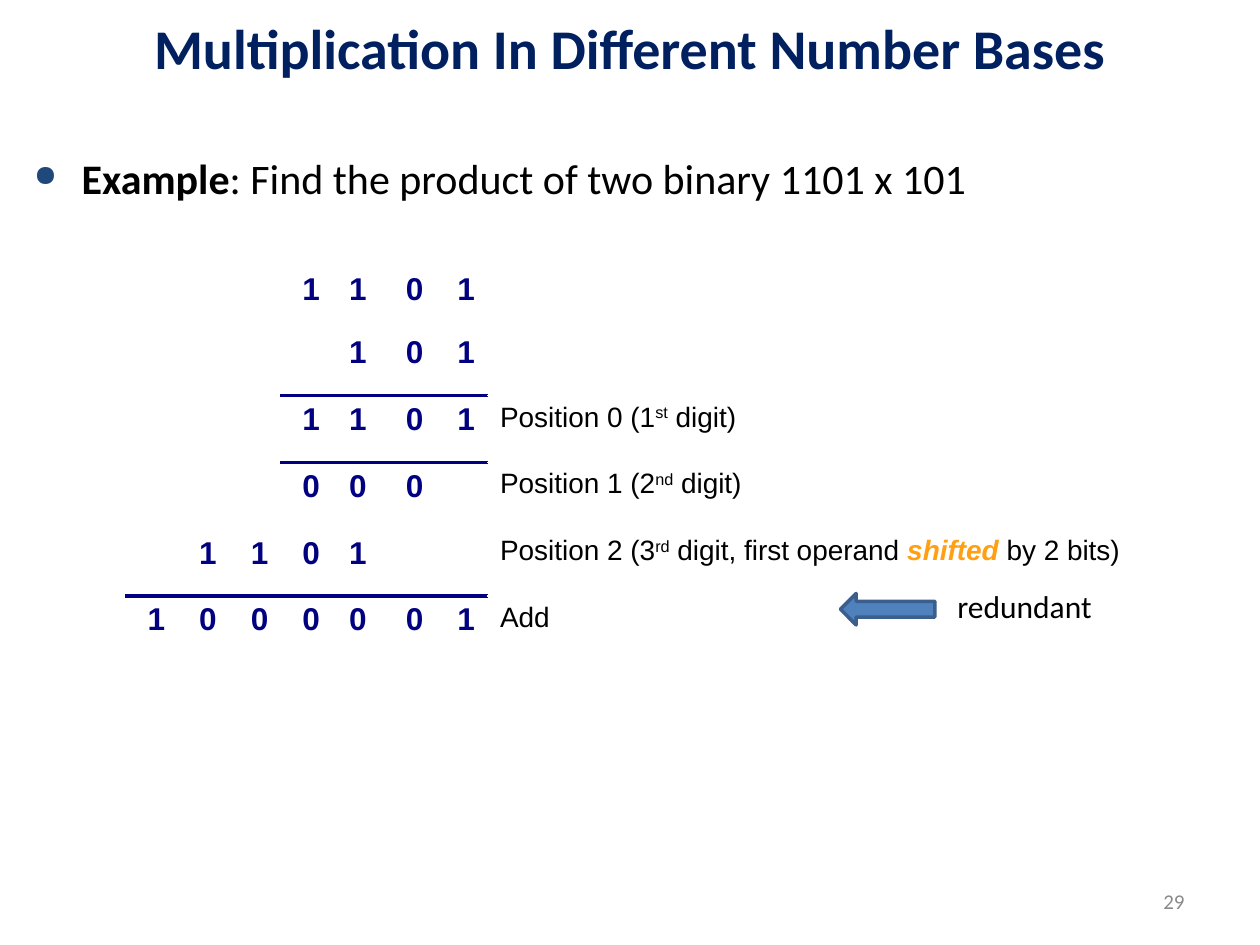
from dataclasses import dataclass

from lxml import etree
from pptx import Presentation
from pptx.dml.color import RGBColor
from pptx.enum.shapes import MSO_SHAPE
from pptx.enum.text import MSO_ANCHOR, PP_ALIGN
from pptx.oxml.ns import qn
from pptx.util import Inches, Pt

LEFT, CENTER, RIGHT = PP_ALIGN.LEFT, PP_ALIGN.CENTER, PP_ALIGN.RIGHT
TOP, MIDDLE = MSO_ANCHOR.TOP, MSO_ANCHOR.MIDDLE
LEFT_ARROW = MSO_SHAPE.LEFT_ARROW

TITLE_NAVY = RGBColor(0x00, 0x20, 0x60)
DIGIT_NAVY = RGBColor(0x00, 0x00, 0x80)
BLACK = RGBColor(0x00, 0x00, 0x00)
ORANGE = RGBColor(0xFF, 0x9F, 0x11)
GRAY = RGBColor(0x89, 0x89, 0x89)
BULLET_BLUE = RGBColor(0x1F, 0x49, 0x7D)
ARROW_FILL = RGBColor(0x4F, 0x81, 0xBD)
ARROW_LINE = RGBColor(0x3A, 0x5F, 0x8C)

COLUMN_WIDTHS = (0.41, 0.41, 0.41, 0.41, 0.37, 0.45, 0.41, 6.14)
ROW_HEIGHTS = (0.5, 0.53, 0.53, 0.53, 0.53, 0.53)
DIGIT_COLUMNS = 7


@dataclass(frozen=True)
class Span:
    text: str
    superscript: bool = False
    emphasized: bool = False
    bold: bool = False


@dataclass(frozen=True)
class Step:
    digits: str
    shift: int = 0
    label: tuple[Span, ...] = ()


@dataclass(frozen=True)
class Rule:
    above_row: int
    first_column: int


@dataclass(frozen=True)
class Caption:
    spans: tuple[Span, ...]
    box: tuple[float, float, float, float]
    size: int
    color: RGBColor
    align: PP_ALIGN = LEFT
    anchor: MSO_ANCHOR = TOP


STEPS = (
    Step("1101"),
    Step("101"),
    Step("1101", 0, (Span("Position 0 (1"), Span("st", superscript=True), Span(" digit)"))),
    Step("000", 1, (Span("Position 1 (2"), Span("nd", superscript=True), Span(" digit)"))),
    Step("1101", 2, (
        Span("Position 2 (3"),
        Span("rd", superscript=True),
        Span(" digit, first operand "),
        Span("shifted ", emphasized=True),
        Span("by 2 bits)"),
    )),
    Step("1000001", 0, (Span("Add"),)),
)
RULES = (Rule(above_row=2, first_column=3), Rule(above_row=5, first_column=0))

EXAMPLE = Caption(
    (Span("Example", bold=True), Span(": Find the product of two binary 1101 x 101")),
    (0.17, 1.08, 9.75, 2.83), 24, BLACK,
)
REDUNDANT = Caption((Span("redundant"),), (7.5, 4.61, 1.42, 0.4), 18, BLACK)
PAGE_NUMBER = Caption((Span("29"),), (7.17, 6.95, 2.33, 0.4), 12, GRAY, RIGHT, MIDDLE)


def style_font(font, name: str, size: int, color: RGBColor, bold: bool = False) -> None:
    font.name = name
    font.size = Pt(size)
    font.bold = bold
    font.color.rgb = color


def add_spans(paragraph, spans: tuple[Span, ...]) -> None:
    for span in spans:
        run = paragraph.add_run()
        run.text = span.text
        if span.bold or span.emphasized:
            run.font.bold = True
        if span.emphasized:
            run.font.italic = True
            run.font.color.rgb = ORANGE
        if span.superscript:
            run.font._element.set("baseline", "30000")


def add_bullet(paragraph) -> None:
    properties = paragraph._p.get_or_add_pPr()
    properties.set("marL", str(Inches(0.38)))
    properties.set("indent", str(-Inches(0.38)))
    color = etree.SubElement(properties, qn("a:buClr"))
    etree.SubElement(color, qn("a:srgbClr"), val=str(BULLET_BLUE))
    etree.SubElement(properties, qn("a:buSzPct"), val="70000")
    etree.SubElement(properties, qn("a:buChar"), char="●")


def add_caption(slide, caption: Caption, bulleted: bool = False) -> None:
    frame = slide.shapes.add_textbox(*map(Inches, caption.box)).text_frame
    frame.word_wrap = True
    frame.vertical_anchor = caption.anchor
    paragraph = frame.paragraphs[0]
    paragraph.alignment = caption.align
    if bulleted:
        paragraph.line_spacing = 1.2
        add_bullet(paragraph)
    style_font(paragraph.font, "Calibri", caption.size, caption.color)
    add_spans(paragraph, caption.spans)


def add_border(cell, side: str) -> None:
    line = etree.Element(qn(f"a:{side}"), w=str(Pt(2.25)))
    fill = etree.SubElement(line, qn("a:solidFill"))
    etree.SubElement(fill, qn("a:srgbClr"), val=str(DIGIT_NAVY))
    cell._tc.get_or_add_tcPr().insert(0, line)


def add_multiplication(slide) -> None:
    table = slide.shapes.add_table(
        len(STEPS), len(COLUMN_WIDTHS), Inches(1), Inches(2.11), Inches(9), Inches(3.14)
    ).table
    table.first_row = False
    table.horz_banding = False
    for column, width in zip(table.columns, COLUMN_WIDTHS):
        column.width = Inches(width)
    for row, height in zip(table.rows, ROW_HEIGHTS):
        row.height = Inches(height)
    for cell in table.iter_cells():
        cell.fill.background()

    for row, step in enumerate(STEPS):
        first = DIGIT_COLUMNS - step.shift - len(step.digits)
        for column, digit in enumerate(step.digits, first):
            paragraph = table.cell(row, column).text_frame.paragraphs[0]
            paragraph.alignment = RIGHT
            style_font(paragraph.font, "Arial", 18, DIGIT_NAVY, bold=True)
            add_spans(paragraph, (Span(digit),))
        if step.label:
            paragraph = table.cell(row, DIGIT_COLUMNS).text_frame.paragraphs[0]
            style_font(paragraph.font, "Arial", 16, BLACK)
            add_spans(paragraph, step.label)

    for rule in RULES:
        for column in range(rule.first_column, DIGIT_COLUMNS):
            add_border(table.cell(rule.above_row - 1, column), "lnB")
            add_border(table.cell(rule.above_row, column), "lnT")


def add_title(slide, text: str) -> None:
    title = slide.shapes.title
    title.left, title.top, title.width, title.height = map(Inches, (0, 0, 10, 0.75))
    title.text_frame.text = text
    title.text_frame.vertical_anchor = MIDDLE
    paragraph = title.text_frame.paragraphs[0]
    paragraph.alignment = CENTER
    style_font(paragraph.font, "Calibri", 32, TITLE_NAVY, bold=True)


def add_arrow(slide) -> None:
    arrow = slide.shapes.add_shape(LEFT_ARROW, *map(Inches, (6.67, 4.71, 0.75, 0.25)))
    arrow.shadow.inherit = False
    arrow.fill.solid()
    arrow.fill.fore_color.rgb = ARROW_FILL
    arrow.line.color.rgb = ARROW_LINE
    arrow.line.width = Pt(2)


def main() -> None:
    deck = Presentation()
    deck.slide_width, deck.slide_height = Inches(10), Inches(7.5)
    slide = deck.slides.add_slide(deck.slide_layouts[5])
    add_title(slide, "Multiplication In Different Number Bases")
    add_multiplication(slide)
    add_caption(slide, PAGE_NUMBER)
    add_caption(slide, EXAMPLE, bulleted=True)
    add_arrow(slide)
    add_caption(slide, REDUNDANT)
    deck.save("out.pptx")


if __name__ == "__main__":
    main()
